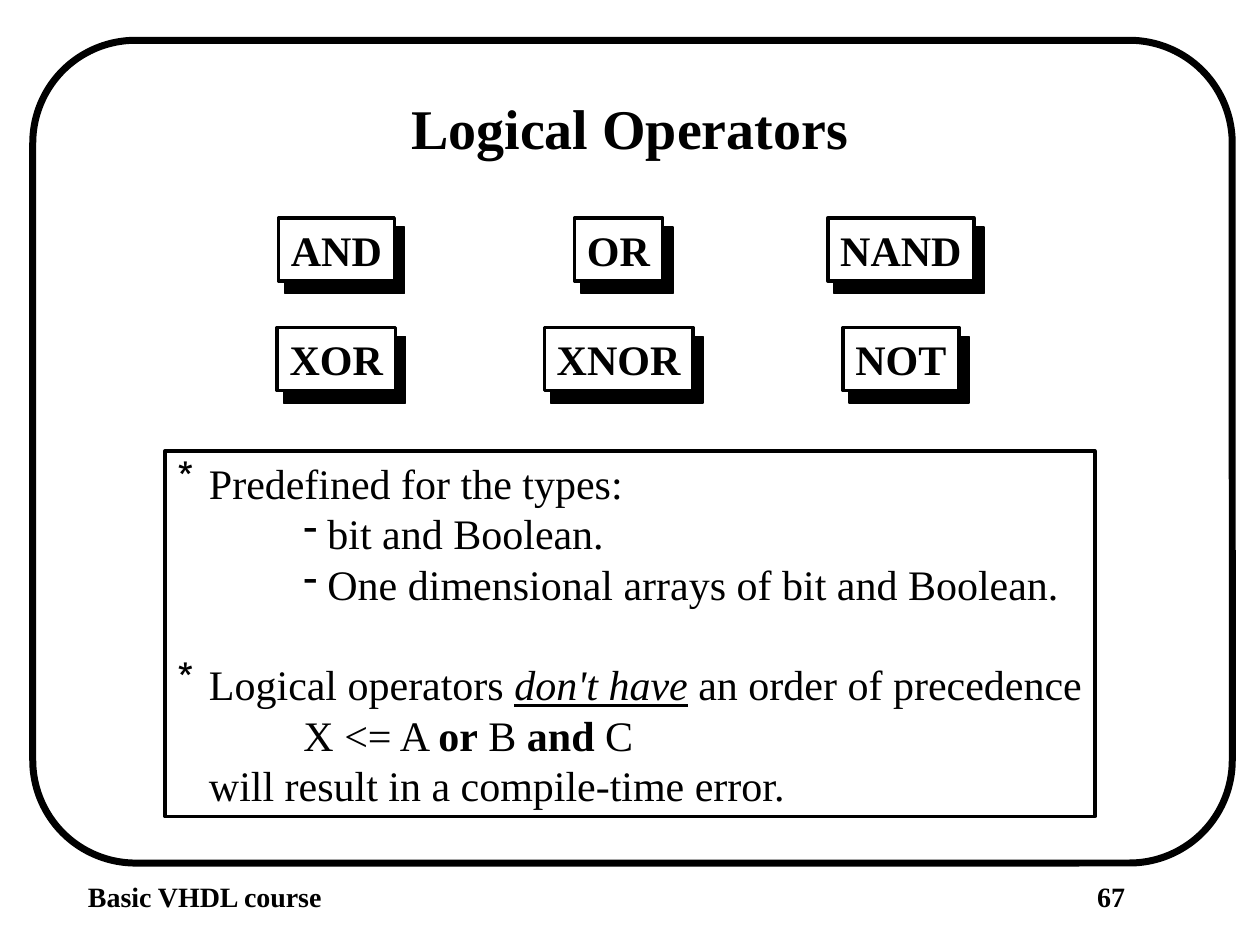
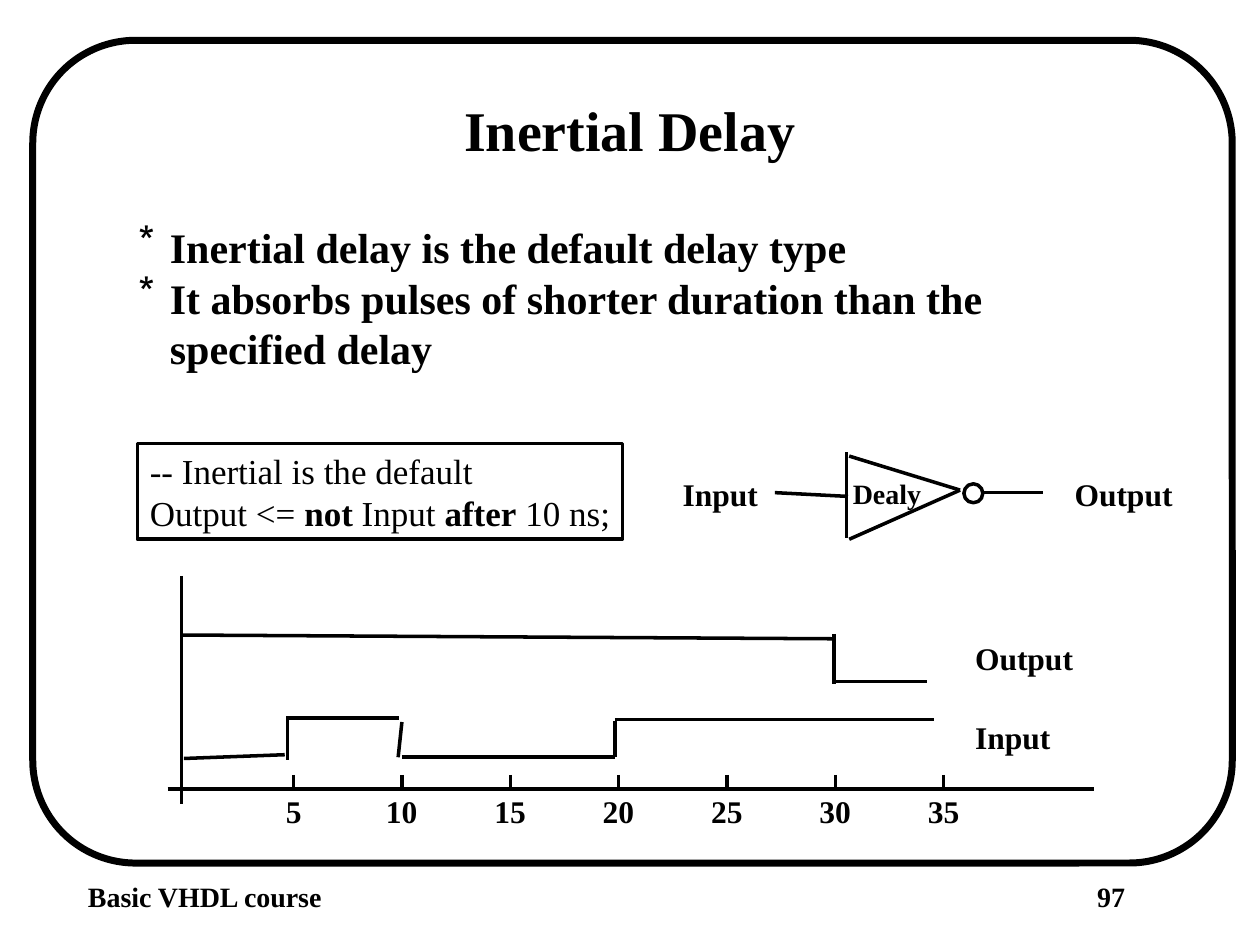
"""Build two VHDL course slides: logical operators and inertial delay."""
from lxml import etree
from pptx import Presentation
from pptx.dml.color import RGBColor
from pptx.enum.shapes import MSO_CONNECTOR, MSO_SHAPE as SHAPE
from pptx.enum.text import MSO_ANCHOR, MSO_AUTO_SIZE, PP_ALIGN
from pptx.oxml.ns import qn
from pptx.util import Inches, Pt

COLORS = {"ink": "000000", "paper": "FFFFFF"}
INK = RGBColor.from_string(COLORS["ink"])
PAPER = RGBColor.from_string(COLORS["paper"])
FONT = "Times New Roman"
HANG = {"*": 0.25, "-": 0.19, "": 0}


def write(shape, lines, size, bold=True, align=PP_ALIGN.LEFT, wrap=False):
    """Fill a shape with lines of (marker, indent, [(text, style), ...])."""
    frame = shape.text_frame
    frame.word_wrap = wrap
    frame.auto_size = MSO_AUTO_SIZE.SHAPE_TO_FIT_TEXT
    frame.vertical_anchor = MSO_ANCHOR.TOP
    if isinstance(lines, str):
        lines = [("", 0, [(lines, "")])]
    for index, (marker, indent, pieces) in enumerate(lines):
        paragraph = frame.add_paragraph() if index else frame.paragraphs[0]
        paragraph.alignment = align
        properties = paragraph._p.get_or_add_pPr()
        properties.set("marL", str(Inches(indent + HANG[marker])))
        properties.set("indent", str(-Inches(HANG[marker])))
        if marker:
            etree.SubElement(properties, qn("a:buFontTx"))
            etree.SubElement(properties, qn("a:buChar")).set("char", marker)
        for text, style in pieces:
            run = paragraph.add_run()
            run.text = text
            run.font.name = FONT
            run.font.size = Pt(size)
            run.font.color.rgb = INK
            run.font.bold = bold or "b" in style
            if "i" in style:
                run.font.italic = True
            if "u" in style:
                run.font.underline = True


def outline(slide, kind, left, top, width, height, fill=None, weight=2):
    """Add a black-edged preset shape, hollow unless a fill is given."""
    shape = slide.shapes.add_shape(
        kind, Inches(left), Inches(top), Inches(width), Inches(height))
    shape.shadow.inherit = False
    shape.line.color.rgb = INK
    shape.line.width = Pt(weight)
    if fill is None:
        shape.fill.background()
    else:
        shape.fill.solid()
        shape.fill.fore_color.rgb = fill
    return shape


deck = Presentation()
deck.slide_width = Inches(10)
deck.slide_height = Inches(7.5)

slides = []
for heading, top, page in [("Logical Operators", 0.69, "67"),
                           ("Inertial Delay", 0.71, "97")]:
    slide = deck.slides.add_slide(deck.slide_layouts[5])
    slides.append(slide)
    title = slide.shapes.title
    title.left, title.top = Inches(2.5), Inches(top)
    title.width, title.height = Inches(5), Inches(0.63)
    write(title, heading, 32, align=PP_ALIGN.CENTER, wrap=True)
    frame = outline(slide, SHAPE.ROUNDED_RECTANGLE, 0.26, 0.32, 9.52, 6.53, weight=4)
    frame.adjustments[0] = 0.125
    for left, width, footer in [(0.6, 2.07, "Basic VHDL course"), (8.61, 1.2, page)]:
        write(slide.shapes.add_textbox(
            Inches(left), Inches(6.93), Inches(width), Inches(0.36)), footer, 16)
operators_slide, delay_slide = slides

operator_rows = [
    (1.73, [("AND", 0.92), ("OR", 0.7), ("NAND", 1.16)]),
    (2.6, [("XOR", 0.94), ("XNOR", 1.18), ("NOT", 0.92)]),
]
for top, operators in operator_rows:
    for column, (operator, width) in enumerate(operators):
        left = 2.67 + 2.24 * column - width / 2
        outline(operators_slide, SHAPE.RECTANGLE, left + 0.05, top + 0.07,
                width + 0.03, 0.53, INK, 1)
        card = outline(operators_slide, SHAPE.RECTANGLE, left, top, width, 0.5, PAPER)
        write(card, operator, 24)

rules = outline(operators_slide, SHAPE.RECTANGLE, 1.31, 3.58, 7.38, 2.9)
write(rules, [
    ("*", 0, [("Predefined for the types:", "")]),
    ("-", 1, [("bit and Boolean.", "")]),
    ("-", 1, [("One dimensional arrays of bit and Boolean.", "")]),
    ("*", 0, [("Logical operators ", ""), ("don't have", "iu"),
              (" an order of precedence", "")]),
    ("", 1, [("X <= A ", ""), ("or", "b"), (" B ", ""), ("and", "b"), (" C", "")]),
    ("", 0.25, [("will result in a compile-time error.", "")]),
], 24, bold=False, wrap=True)
rules.text_frame.margin_right = 0
rules.text_frame.paragraphs[3].space_before = Pt(28.8)

summary = delay_slide.shapes.add_textbox(
    Inches(1), Inches(1.71), Inches(7), Inches(1.3))
write(summary, [
    ("*", 0, [("Inertial delay is the default delay type", "")]),
    ("*", 0, [("It absorbs pulses of shorter duration than the specified delay", "")]),
], 24, wrap=True)

code = outline(delay_slide, SHAPE.RECTANGLE, 1.09, 3.52, 3.85, 0.76)
write(code, [
    ("", 0, [("-- Inertial is the default", "")]),
    ("", 0, [("Output <= ", ""), ("not", "b"), (" Input ", ""),
             ("after", "b"), (" 10 ns;", "")]),
], 20, bold=False, wrap=True)
code.text_frame.margin_right = 0

inverter = [
    (6.74, 3.62, 7.62, 3.89), (6.74, 4.28, 7.62, 3.89), (6.72, 3.59, 6.72, 4.27),
    (6.15, 3.91, 6.73, 3.94), (7.8, 3.91, 8.28, 3.91),
]
axes = [(1.44, 4.57, 1.44, 6.38), (1.33, 6.26, 8.68, 6.26)]
input_wave = [
    (1.46, 6.02, 2.26, 5.99), (2.28, 6.03, 2.28, 5.68), (2.29, 5.7, 3.17, 5.7),
    (3.19, 5.73, 3.16, 6.01), (3.19, 6.01, 4.88, 6.01), (4.88, 6.01, 4.88, 5.72),
    (4.88, 5.71, 7.41, 5.71),
]
output_wave = [
    (1.43, 5.04, 6.62, 5.07), (6.62, 5.03, 6.62, 5.43), (6.63, 5.41, 7.36, 5.41),
]
labels = [
    ("Dealy", 6.67, 3.73, 0.74, 16), ("Input", 5.32, 3.72, 0.8, 18),
    ("Output", 8.43, 3.72, 0.98, 18), ("Output", 7.64, 5.02, 0.98, 18),
    ("Input", 7.64, 5.65, 0.8, 18),
]
ticks = []
for step in range(7):
    time = 5 * (step + 1)
    tick_x = 2.33 + 0.86 * step
    ticks.append((tick_x, 6.15, tick_x, 6.27))
    width = 0.32 if time < 10 else 0.45
    labels.append((str(time), tick_x - width / 2, 6.24, width, 18))

for x1, y1, x2, y2 in inverter + axes + input_wave + output_wave + ticks:
    stroke = delay_slide.shapes.add_connector(
        MSO_CONNECTOR.STRAIGHT, Inches(x1), Inches(y1), Inches(x2), Inches(y2))
    stroke.line.color.rgb = INK
    stroke.line.width = Pt(2)
    etree.SubElement(stroke._element.spPr, qn("a:effectLst"))
outline(delay_slide, SHAPE.OVAL, 7.65, 3.84, 0.15, 0.15)

for text, left, top, width, size in labels:
    write(delay_slide.shapes.add_textbox(
        Inches(left), Inches(top), Inches(width), Inches(0.4)), text, size)

deck.save("out.pptx")
